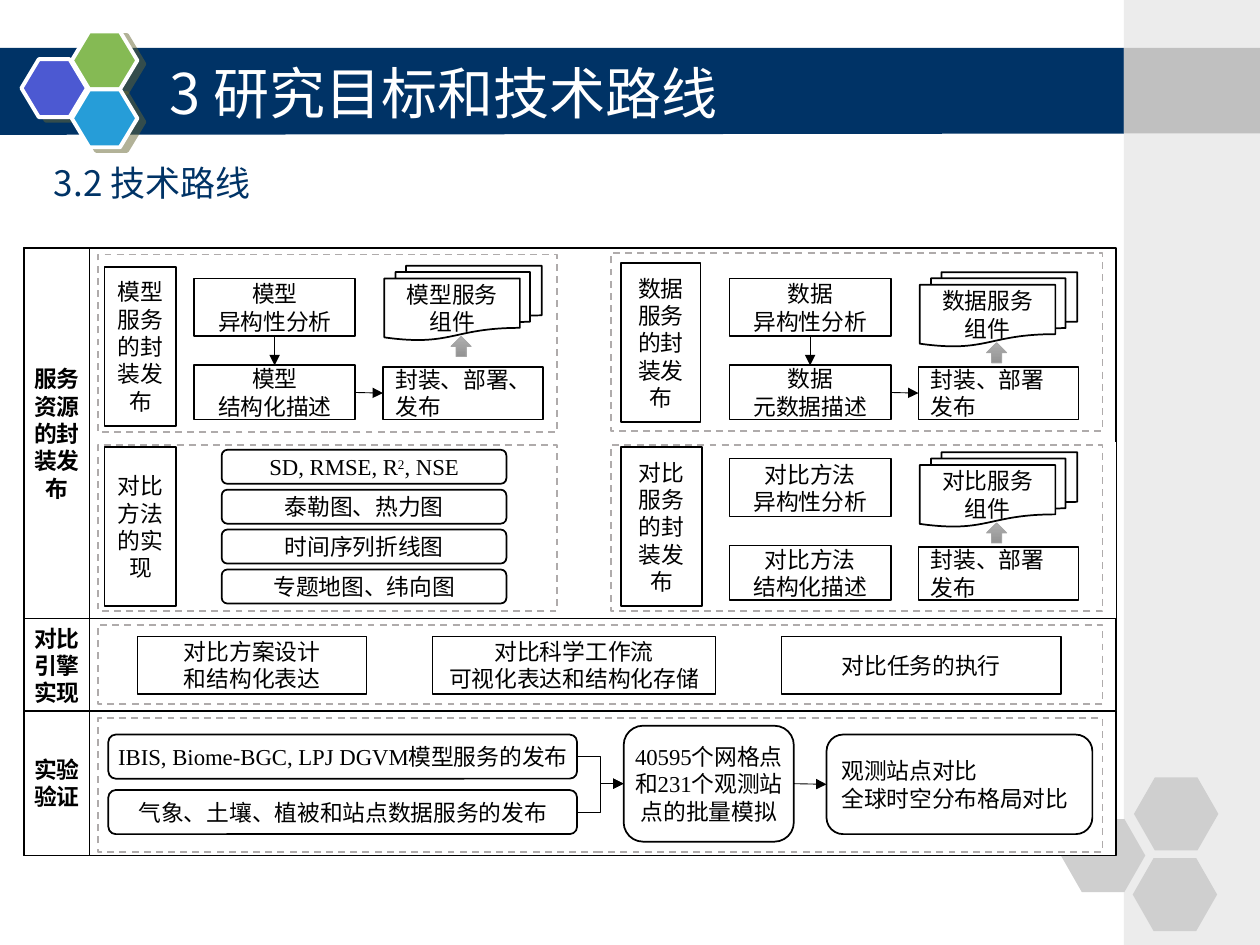
"""Build the technical roadmap slide."""
from dataclasses import dataclass
from lxml.etree import SubElement
from pptx import Presentation
from pptx.dml.color import RGBColor
from pptx.enum.dml import MSO_LINE
from pptx.enum.shapes import MSO_CONNECTOR, MSO_SHAPE
from pptx.enum.text import MSO_ANCHOR, PP_ALIGN
from pptx.oxml.ns import qn
from pptx.util import Inches, Pt

COLORS = {
    "navy": "003366", "violet": "4C59D2", "green": "85BA54", "blue": "269DD8",
    "olive": "666633", "white": "FFFFFF", "black": "000000", "band": "ECECEC",
    "silver": "C0C0C0", "pale": "CFCFCF", "dash": "AFABAB", "edge": "A5A5A5",
    "arrow_top": "AFAFAF", "arrow_bottom": "939393",
}
SANS = "Noto Sans CJK SC"
SERIF = "Times New Roman"
TOP, LEFT, BOTTOM, RIGHT = range(4)


def color(name):
    """Return a palette colour."""
    return RGBColor.from_string(COLORS[name])


def write_text(shape, text, size=13, font=SERIF, ink="black", bold=False,
               align=PP_ALIGN.CENTER, insets=(0.1, 0.05, 0.1, 0.05),
               anchor=MSO_ANCHOR.MIDDLE, spacing=None, before=0):
    """Fill a shape with one paragraph a line; carets enclose superscripts."""
    frame = shape.text_frame
    frame.word_wrap = True
    frame.vertical_anchor = anchor
    (frame.margin_left, frame.margin_top,
     frame.margin_right, frame.margin_bottom) = map(Inches, insets)
    for number, line in enumerate(text.split("\n")):
        para = frame.add_paragraph() if number else frame.paragraphs[0]
        para.alignment = align
        para.space_before = Pt(before)
        if spacing:
            para.line_spacing = spacing
        for index, piece in enumerate(line.split("^")):
            span = para.add_run()
            span.text = piece
            span.font.size = Pt(size)
            span.font.name = font
            span.font.bold = bold
            span.font.color.rgb = color(ink)
            properties = span.font._element
            SubElement(properties, qn("a:ea"), typeface=SANS)
            if index % 2:
                properties.set("baseline", "30000")


@dataclass
class Roadmap:
    """Hold the style and the current page."""
    page: object
    line_width: float = 1
    arrow_width: float = 0.5
    label_insets: tuple = (0.05, 0.05, 0.05, 0.05)

    def box(self, place, text="", kind=MSO_SHAPE.RECTANGLE, fill="white",
            line="black", width=None, dashed=False, **style):
        """Add a preset shape with optional text."""
        shape = self.page.shapes.add_shape(kind, *map(Inches, place))
        shape.shadow.inherit = False
        if fill:
            shape.fill.solid()
            shape.fill.fore_color.rgb = color(fill)
        else:
            shape.fill.background()
        if line:
            shape.line.color.rgb = color(line)
            shape.line.width = Pt(width or self.line_width)
            if dashed:
                shape.line.dash_style = MSO_LINE.DASH
        else:
            shape.line.fill.background()
        if text:
            write_text(shape, text, **style)
        return shape

    def panel(self, *place):
        """Add a dashed grey panel."""
        return self.box(place, line="dash", dashed=True)

    def label(self, top, height, text):
        """Add a bold row label."""
        self.box((0.19, top, 0.52, height), text, bold=True, insets=self.label_insets)

    def rounded(self, place, text, **style):
        """Add a rounded box."""
        return self.box(place, text, kind=MSO_SHAPE.ROUNDED_RECTANGLE, **style)

    def text(self, place, text, **style):
        """Add a left-aligned text box."""
        box = self.page.shapes.add_textbox(*map(Inches, place))
        write_text(box, text, font=SANS, align=PP_ALIGN.LEFT, **style)

    def outline(self, points, fill):
        """Add a filled polygon without a border."""
        start, *rest = [tuple(map(Inches, point)) for point in points]
        builder = self.page.shapes.build_freeform(*start, scale=1.0)
        builder.add_line_segments(rest, close=True)
        shape = builder.convert_to_shape()
        shape.shadow.inherit = False
        shape.fill.solid()
        shape.fill.fore_color.rgb = color(fill)
        shape.line.fill.background()

    def hexagon(self, place, fill, ratio, shadowed=False):
        """Add a hexagon, with a white rim and an offset shadow if asked."""
        shape = self.box(place, kind=MSO_SHAPE.HEXAGON, fill=fill,
                         line="white" if shadowed else None, width=2.25)
        shape.adjustments[0] = ratio
        if shadowed:
            effects = shape._element.spPr.find(qn("a:effectLst"))
            shadow = SubElement(effects, qn("a:outerShdw"), dist=str(Pt(4.5)),
                                dir="1620000", algn="ctr", rotWithShape="0")
            tint = SubElement(shadow, qn("a:srgbClr"), val=COLORS["olive"])
            SubElement(tint, qn("a:alpha"), val="50000")

    def line(self, points, kind=MSO_CONNECTOR.STRAIGHT):
        """Add a thin black connector."""
        connector = self.page.shapes.add_connector(kind, *map(Inches, points))
        connector.line.color.rgb = color("black")
        connector.line.width = Pt(self.arrow_width)
        SubElement(connector._element.spPr, qn("a:effectLst"))
        return connector

    def arrow(self, source, source_side, target, target_side, kind=MSO_CONNECTOR.STRAIGHT):
        """Join two boxes with an arrow."""
        connector = self.line((0, 0, 0, 0), kind)
        connector.begin_connect(source, source_side)
        connector.end_connect(target, target_side)
        SubElement(connector.line._get_or_add_ln(), qn("a:tailEnd"), type="triangle")

    def up_arrow(self, left, top):
        """Add a small grey block arrow."""
        shape = self.box((left, top, 0.16, 0.16), kind=MSO_SHAPE.UP_ARROW,
                         line="edge", width=0.5)
        shape.fill.gradient()
        shape.fill.gradient_angle = 270
        for stop, name in zip(shape.fill.gradient_stops, ("arrow_top", "arrow_bottom")):
            stop.color.rgb = color(name)

    def pipeline(self, left, top, documents_top, subject, description, service,
                 packaging="封装、部署发布", linked=True):
        """Add the steps from analysis to a service component."""
        analysis = self.box((left, top, 1.28, 0.46), f"{subject}\n异构性分析")
        structure = self.box((left, top + 0.69, 1.28, 0.43), f"{subject}\n{description}")
        package = self.box((left + 1.5, top + 0.7, 1.27, 0.42), packaging, align=PP_ALIGN.LEFT)
        if linked:
            self.arrow(analysis, BOTTOM, structure, TOP)
            self.arrow(structure, RIGHT, package, LEFT)
        self.box((left + 1.51, documents_top, 1.25, 0.59), f"{service}\n组件",
                 kind=MSO_SHAPE.FLOWCHART_MULTIDOCUMENT)
        self.up_arrow(left + 2.04, documents_top + 0.56)


def draw_background(road):
    """Draw the banner, the side band and the hexagons."""
    road.outline([(-0.03, 0.38), (8.94, 0.38), (8.93, 1.06), (-0.03, 1.07)], "navy")
    for left, top, fill in ((0.17, 0.47, "violet"), (0.57, 0.25, "green"), (0.57, 0.71, "blue")):
        road.hexagon((left, top, 0.52, 0.46), fill, 0.3, shadowed=True)
    road.box((8.92, 0, 1.08, 7.5), fill="band", line=None)
    road.box((8.92, 0.38, 1.08, 0.68), fill="silver", line=None)
    for left, top in ((8.42, 6.5), (9, 6.17), (8.99, 6.81)):
        road.hexagon((left, top, 0.67, 0.58), "pale", 0.286)
    road.text((0.33, 1.17, 7.5, 0.46), "3.2 技术路线", size=20, ink="navy",
              anchor=MSO_ANCHOR.TOP, spacing=1.2, before=4)
    road.text((1.25, 0.42, 7.42, 0.62), "3 研究目标和技术路线", size=32, ink="white")


def draw_services(road):
    """Draw the row about packaging service resources."""
    road.box((0.19, 1.97, 8.67, 1.6))
    road.outline([(0.19, 3.51), (8.86, 3.51), (8.86, 4.91), (0.19, 4.91)], "white")
    road.line((8.86, 4.91, 8.86, 3.51))
    road.label(1.97, 2.94, "服务资源的封装发布")
    road.panel(0.78, 2.02, 3.64, 1.41)
    road.panel(4.85, 2.01, 3.9, 1.41)
    road.panel(0.78, 3.53, 3.64, 1.32)
    road.panel(4.85, 3.53, 3.9, 1.32)
    for left, top, width, text in (
            (0.83, 2.12, 0.57, "模型服务的封装发布"), (4.93, 2.09, 0.63, "数据服务的封装发布"),
            (0.83, 3.55, 0.57, "对比方法\n的实现"), (4.93, 3.55, 0.64, "对比服务的封装发布")):
        road.box((left, top, width, 1.26), text)
    methods = ("SD, RMSE, R^2^, NSE", "泰勒图、热力图", "时间序列折线图", "专题地图、纬向图")
    for index, method in enumerate(methods):
        road.rounded((1.76, 3.57 + index * 0.95 / 3, 2.26, 0.27), method, insets=(0, 0.05, 0, 0.05))
    road.pipeline(1.54, 2.21, 2.11, "模型", "结构化描述", "模型服务", "封装、部署、发布")
    road.pipeline(5.79, 2.21, 2.16, "数据", "元数据描述", "数据服务")
    road.pipeline(5.79, 3.64, 3.59, "对比方法", "结构化描述", "对比服务", linked=False)


def draw_engine(road):
    """Draw the row about the comparison engine."""
    road.box((0.19, 4.91, 8.67, 0.74))
    road.panel(0.78, 4.96, 7.97, 0.63)
    road.label(4.91, 0.74, "对比引擎实现")
    for left, width, text in ((1.09, 1.82, "对比方案设计\n和结构化表达"),
                              (3.43, 2.25, "对比科学工作流\n可视化表达和结构化存储"),
                              (6.2, 2.22, "对比任务的执行")):
        road.box((left, 5.05, width, 0.46), text, fill=None, width=0.75)


def draw_validation(road):
    """Draw the row about experimental validation."""
    road.box((0.19, 5.64, 8.67, 1.15))
    road.panel(0.78, 5.7, 7.97, 1.06)
    road.label(5.64, 1.15, "实验验证")
    simulation = road.rounded((4.95, 5.76, 1.35, 0.92), "40595个网格点和231个观测站点的批量模拟",
                              insets=(0, 0.05, 0, 0.05))
    comparison = road.rounded((6.56, 5.83, 2.11, 0.79), "观测站点对比\n全球时空分布格局对比",
                              align=PP_ALIGN.LEFT, insets=(0.08, 0.05, 0.04, 0.05))
    for top, text in ((5.83, "IBIS, Biome-BGC, LPJ DGVM模型服务的发布"),
                      (6.27, "气象、土壤、植被和站点数据服务的发布")):
        release = road.rounded((0.86, top, 3.72, 0.35), text, insets=(0, 0.05, 0, 0.05))
        road.arrow(release, RIGHT, simulation, LEFT, MSO_CONNECTOR.ELBOW)
    road.arrow(simulation, RIGHT, comparison, LEFT)


def main():
    """Create and save the deck."""
    deck = Presentation()
    deck.slide_width, deck.slide_height = Inches(10), Inches(7.5)
    road = Roadmap(deck.slides.add_slide(deck.slide_layouts[6]))
    for draw in (draw_background, draw_services, draw_engine, draw_validation):
        draw(road)
    deck.save("out.pptx")


if __name__ == "__main__":
    main()
